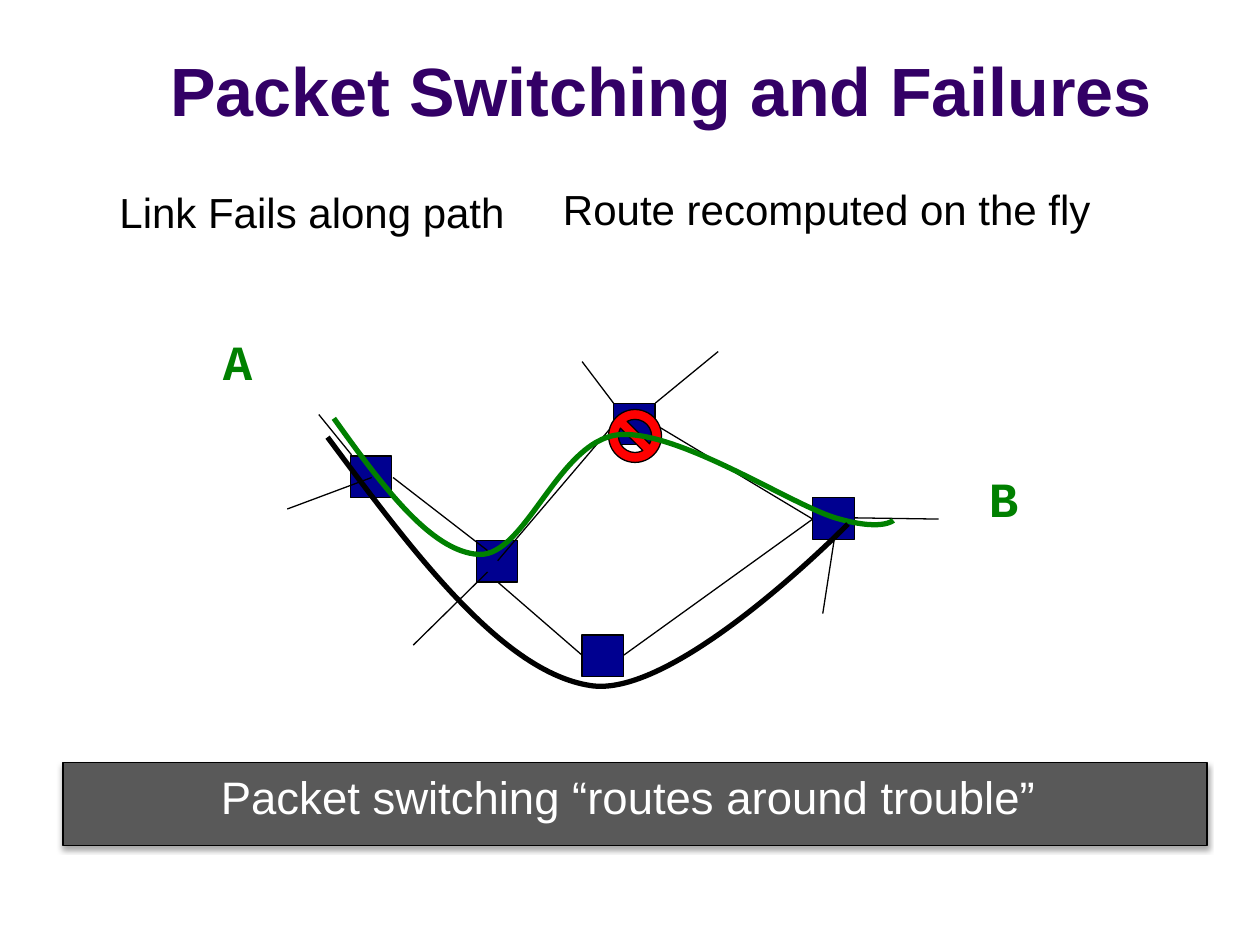
"""Build a slide on how packet switching copes with a failed link."""
from dataclasses import dataclass

from lxml import etree
from pptx import Presentation
from pptx import util as u
from pptx.dml.color import RGBColor
from pptx.enum import shapes, text
from pptx.oxml import parse_xml
from pptx.oxml.ns import nsdecls, qn


@dataclass(frozen=True)
class Theme:
    """Colours, fonts, type sizes and line widths."""
    ink: str = "000000"
    head: str = "330066"
    node: str = "000090"
    path_a: str = "008000"
    stop: str = "FF0000"
    bar: str = "595959"
    pale: str = "FFFFFF"
    sans: str = "Arial"
    mono: str = "Courier New"
    title: float = 39
    lead: float = 24
    note: float = 26
    mark: float = 28.1
    thin: float = 0.75
    thick: float = 3


T = Theme()
SIDE = 0.33
NODES = [(4.62, 5.04), (4.87, 3.2), (6.45, 3.95), (2.78, 3.62), (3.78, 4.29)]
LINKS = [
    (6.78, 4.11, 7.45, 4.12), (6.62, 4.29, 6.53, 4.87),
    (5.7, 2.79, 5.2, 3.2), (4.95, 5.2, 6.45, 4.12),
    (5.2, 3.37, 6.45, 4.12), (4.62, 2.87, 4.87, 3.2),
    (3.95, 4.62, 4.62, 5.2), (3.28, 5.12, 3.87, 4.54),
    (3.12, 3.79, 3.87, 4.37), (2.53, 3.29, 2.79, 3.61),
    (2.95, 3.79, 2.28, 4.04), (3.95, 4.45, 4.87, 3.37),
]
FIRST = [
    (2.65, 3.32),
    (3.03, 3.85), (3.42, 4.38), (3.8, 4.4),
    (4.17, 4.42), (4.43, 3.5), (4.91, 3.45),
    (5.38, 3.41), (6.27, 4), (6.63, 4.11),
    (7, 4.22), (7.09, 4.13), (7.09, 4.13),
]
DETOUR = [
    (2.6, 3.47),
    (3.29, 4.4), (3.99, 5.33), (4.68, 5.44),
    (5.36, 5.56), (6.73, 4.16), (6.73, 4.16),
]
LABELS = [
    ("A", (1.67, 2.58, 0.55, 0.57), T.mono, T.mark, T.path_a, True),
    ("B", (7.75, 3.67, 0.47, 0.57), T.mono, T.mark, T.path_a, True),
    ("Link Fails along path", (0.85, 1.43, 4.17, 0.5),
     T.sans, T.lead, T.ink, False),
    ("Route recomputed on the fly", (4.37, 1.41, 4.47, 0.5),
     T.sans, T.lead, T.ink, False),
]


def assign(item, values):
    """Set each named attribute of an item."""
    for name, value in values.items():
        setattr(item, name, value)


def stroke(line, color, width):
    """Give a line its colour and width."""
    line.color.rgb = RGBColor.from_string(color)
    line.width = u.Pt(width)


def place(shape, box):
    """Move and size a shape by a box in inches."""
    names = ("left", "top", "width", "height")
    assign(shape, dict(zip(names, map(u.Inches, box))))


def write(shape, words, name, size, color, bold=False, align=None):
    """Write one formatted paragraph into a shape."""
    frame = shape.text_frame
    assign(frame, {"word_wrap": True, "auto_size": text.MSO_AUTO_SIZE.NONE})
    para = frame.paragraphs[0]
    run = para.add_run()
    run.text = words
    assign(para, {"alignment": align, "space_before": u.Pt(0)})
    assign(run.font, {"name": name, "size": u.Pt(size), "bold": bold})
    run.font.color.rgb = RGBColor.from_string(color)


def add_title(slide, words):
    """Fill the title placeholder."""
    title = slide.shapes.title
    place(title, (0.5, 0.13, 9.5, 0.95))
    title.text_frame.vertical_anchor = text.MSO_ANCHOR.BOTTOM
    write(title, words, T.sans, T.title, T.head, True, text.PP_ALIGN.CENTER)


def add_bar(slide, words):
    """Turn the body placeholder into a shaded bar."""
    bar = slide.placeholders[1]
    place(bar, (0.5, 6.05, 9.08, 0.66))
    bar.fill.solid()
    bar.fill.fore_color.rgb = RGBColor.from_string(T.bar)
    stroke(bar.line, T.ink, T.thin)
    bar._element.spPr.append(parse_xml(
        f'<a:effectLst {nsdecls("a")}><a:outerShdw blurRad="{u.Pt(3.1)}" '
        f'dist="{u.Pt(1.8)}" dir="5400000" rotWithShape="0">'
        f'<a:srgbClr val="{T.ink}"><a:alpha val="35000"/></a:srgbClr>'
        '</a:outerShdw></a:effectLst>'))
    props = bar.text_frame.paragraphs[0]._p.get_or_add_pPr()
    props.set("marL", "0")
    props.set("indent", "0")
    etree.SubElement(props, qn("a:buNone"))
    bar.text_frame.vertical_anchor = text.MSO_ANCHOR.TOP
    write(bar, words, T.sans, T.note, T.pale, align=text.PP_ALIGN.CENTER)


def add_label(slide, words, box, *style):
    """Add a text box."""
    write(slide.shapes.add_textbox(*map(u.Inches, box)), words, *style)


def add_mark(slide, kind, spot, side, color):
    """Add a filled square-sized shape with a thin outline."""
    box = map(u.Inches, (*spot, side, side))
    mark = slide.shapes.add_shape(kind, *box)
    mark.shadow.inherit = False
    mark.fill.solid()
    mark.fill.fore_color.rgb = RGBColor.from_string(color)
    stroke(mark.line, T.ink, T.thin)


def add_link(slide, ends):
    """Add a thin straight link."""
    link = slide.shapes.add_connector(
        shapes.MSO_CONNECTOR.STRAIGHT, *map(u.Inches, ends))
    stroke(link.line, T.ink, T.thin)
    etree.SubElement(link._element.spPr, qn("a:effectLst"))


def add_curve(slide, points, color):
    """Add an open cubic curve through every third point."""
    spots = [(u.Inches(x), u.Inches(y)) for x, y in points]
    form = slide.shapes.build_freeform(*spots[0])
    form.add_line_segments(spots[3::3], close=False)
    curve = form.convert_to_shape()
    curve.shadow.inherit = False
    curve.fill.background()
    stroke(curve.line, color, T.thick)
    steps = list(curve._element.iter(qn("a:lnTo")))
    for index, step in enumerate(steps):
        bend = etree.Element(qn("a:cubicBezTo"))
        for x, y in spots[3 * index + 1:3 * index + 4]:
            etree.SubElement(bend, qn("a:pt"), x=str(x - curve.left),
                             y=str(y - curve.top))
        step.getparent().replace(step, bend)


def main():
    """Build and save the slide."""
    deck = Presentation()
    assign(deck, {"slide_width": u.Inches(10), "slide_height": u.Inches(7.5)})
    slide = deck.slides.add_slide(deck.slide_layouts[1])
    add_title(slide, "Packet Switching and Failures")
    add_bar(slide, "Packet switching “routes around trouble” ")
    kind = shapes.MSO_SHAPE
    for spot in NODES:
        add_mark(slide, kind.RECTANGLE, spot, SIDE, T.node)
    for ends in LINKS:
        add_link(slide, ends)
    add_mark(slide, kind.NO_SYMBOL, (4.83, 3.25), 0.42, T.stop)
    add_curve(slide, FIRST, T.path_a)
    add_curve(slide, DETOUR, T.ink)
    for label in LABELS:
        add_label(slide, *label)
    deck.save("out.pptx")


if __name__ == "__main__":
    main()
